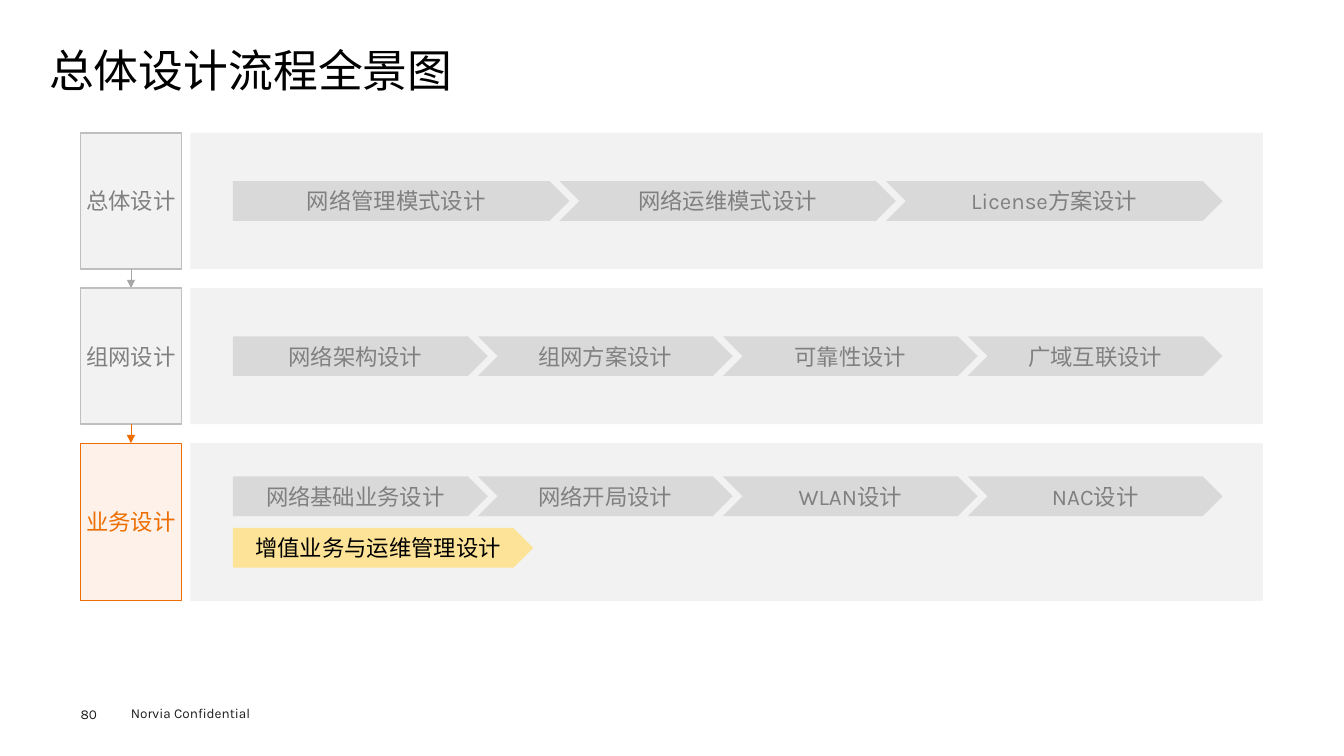
from dataclasses import dataclass

import lxml.etree
import pptx
import pptx.dml.color
import pptx.enum.shapes
import pptx.enum.text
import pptx.oxml.ns
import pptx.shapes.autoshape
import pptx.slide
import pptx.util

Cm = pptx.util.Cm
Kind = pptx.enum.shapes.MSO_SHAPE
Anchor = pptx.enum.text.MSO_ANCHOR
Align = pptx.enum.text.PP_ALIGN


@dataclass(frozen=True)
class Theme:
    font: str = "Karla"
    title_size: float = 32
    label_size: float = 16
    footer_size: float = 9.7
    black: str = "000000"
    footer: str = "1D1D1B"
    panel: str = "F2F2F2"
    step: str = "D9D9D9"
    muted: str = "808080"
    border: str = "BFBFBF"
    arrow: str = "A6A6A6"
    accent: str = "ED6D00"
    accent_fill: str = "FDF1E9"
    highlight: str = "FDE397"


@dataclass(frozen=True)
class Box:
    left: float
    top: float
    width: float
    height: float

    def emu(self) -> list[int]:
        return [Cm(self.left), Cm(self.top), Cm(self.width), Cm(self.height)]


@dataclass(frozen=True)
class Stage:
    label: str
    height: float
    tiers: list[list[str]]
    current: bool = False


THEME = Theme()
STAGES = [
    Stage("总体设计", 3.43, [["网络管理模式设计", "网络运维模式设计", "License方案设计"]]),
    Stage("组网设计", 3.43, [["网络架构设计", "组网方案设计", "可靠性设计", "广域互联设计"]]),
    Stage("业务设计", 3.97, [["网络基础业务设计", "网络开局设计", "WLAN设计", "NAC设计"],
                         ["增值业务与运维管理设计"]], current=True),
]
FIRST_TOP, STAGE_GAP = 3.35, 0.48
STAGE_LEFT, STAGE_WIDTH = 2.03, 2.54
PANEL_LEFT, PANEL_WIDTH = 4.8, 27.03
STEP_LEFT, STEP_SPAN, STEP_HEIGHT = 5.87, 24.94, 1.0
STEP_OVERLAP, TIER_PITCH, HIGHLIGHT_WIDTH = 0.25, 1.3, 7.57


def rgb(code: str) -> pptx.dml.color.RGBColor:
    return pptx.dml.color.RGBColor.from_string(code)


def write(shape: pptx.shapes.autoshape.Shape, text: str, size: float, color: str,
          align: Align = Align.LEFT, anchor: Anchor = Anchor.TOP,
          inset: bool = True, spacing: float = 1.0) -> None:
    frame = shape.text_frame
    frame.word_wrap = True
    frame.vertical_anchor = anchor
    if not inset:
        frame.margin_left = frame.margin_right = 0
        frame.margin_top = frame.margin_bottom = 0
    paragraph = frame.paragraphs[0]
    paragraph.alignment = align
    paragraph.line_spacing = spacing
    run = paragraph.add_run()
    run.text = text
    run.font.name = THEME.font
    run.font.size = pptx.util.Pt(size)
    run.font.color.rgb = rgb(color)


def add_block(slide: pptx.slide.Slide, kind: Kind, box: Box, fill: str,
              border: str = "") -> pptx.shapes.autoshape.Shape:
    block = slide.shapes.add_shape(kind, *box.emu())
    block.shadow.inherit = False
    block.fill.solid()
    block.fill.fore_color.rgb = rgb(fill)
    if border:
        block.line.color.rgb = rgb(border)
        block.line.width = pptx.util.Pt(1)
    else:
        block.line.fill.background()
    return block


def add_arrow(slide: pptx.slide.Slide, top: float, bottom: float, color: str) -> None:
    center = Cm(STAGE_LEFT + STAGE_WIDTH / 2)
    arrow = slide.shapes.add_connector(
        pptx.enum.shapes.MSO_CONNECTOR.STRAIGHT, center, Cm(top), center, Cm(bottom))
    arrow.line.color.rgb = rgb(color)
    arrow.line.width = pptx.util.Pt(0.5)
    qn = pptx.oxml.ns.qn
    lxml.etree.SubElement(arrow.line._get_or_add_ln(), qn("a:tailEnd"), type="triangle")
    lxml.etree.SubElement(arrow._element.spPr, qn("a:effectLst"))


def add_tier(slide: pptx.slide.Slide, steps: list[str], top: float) -> None:
    count = len(steps)
    highlighted = count == 1
    width = (STEP_SPAN + STEP_OVERLAP * (count - 1)) / count
    if highlighted:
        width = HIGHLIGHT_WIDTH
    for index, label in enumerate(steps):
        box = Box(STEP_LEFT + index * (width - STEP_OVERLAP), top, width, STEP_HEIGHT)
        step = add_block(slide, Kind.CHEVRON if index else Kind.PENTAGON, box,
                         THEME.highlight if highlighted else THEME.step)
        write(step, label, THEME.label_size, THEME.black if highlighted else THEME.muted,
              Align.CENTER, Anchor.MIDDLE)


def add_stage(slide: pptx.slide.Slide, stage: Stage, top: float) -> None:
    fill, border, color = THEME.panel, THEME.border, THEME.muted
    if stage.current:
        fill, border, color = THEME.accent_fill, THEME.accent, THEME.accent
    heading = add_block(slide, Kind.RECTANGLE,
                        Box(STAGE_LEFT, top, STAGE_WIDTH, stage.height), fill, border)
    write(heading, stage.label, THEME.label_size, color, Align.CENTER, Anchor.MIDDLE,
          inset=False)
    add_block(slide, Kind.RECTANGLE, Box(PANEL_LEFT, top, PANEL_WIDTH, stage.height),
              THEME.panel)
    tiers_height = STEP_HEIGHT + TIER_PITCH * (len(stage.tiers) - 1)
    tiers_top = top + (stage.height - tiers_height) / 2
    for index, steps in enumerate(stage.tiers):
        add_tier(slide, steps, tiers_top + index * TIER_PITCH)


def main() -> None:
    deck = pptx.Presentation()
    deck.slide_width, deck.slide_height = Cm(33.87), Cm(19.05)
    slide = deck.slides.add_slide(deck.slide_layouts[6])

    title = slide.shapes.add_textbox(*Box(1.24, 1.24, 31.37, 1.37).emu())
    write(title, "总体设计流程全景图", THEME.title_size, THEME.black, inset=False, spacing=0.9)
    notice = slide.shapes.add_textbox(*Box(3.05, 17.65, 4.06, 0.69).emu())
    write(notice, "Norvia Confidential", THEME.footer_size, THEME.footer)
    page_number = slide.shapes.add_textbox(*Box(2.03, 17.78, 1.4, 0.41).emu())
    write(page_number, "80", THEME.footer_size, THEME.footer, inset=False)

    top = FIRST_TOP
    for index, stage in enumerate(STAGES):
        if index:
            add_arrow(slide, top - STAGE_GAP, top,
                      THEME.accent if stage.current else THEME.arrow)
        add_stage(slide, stage, top)
        top += stage.height + STAGE_GAP

    deck.save("out.pptx")


if __name__ == "__main__":
    main()
